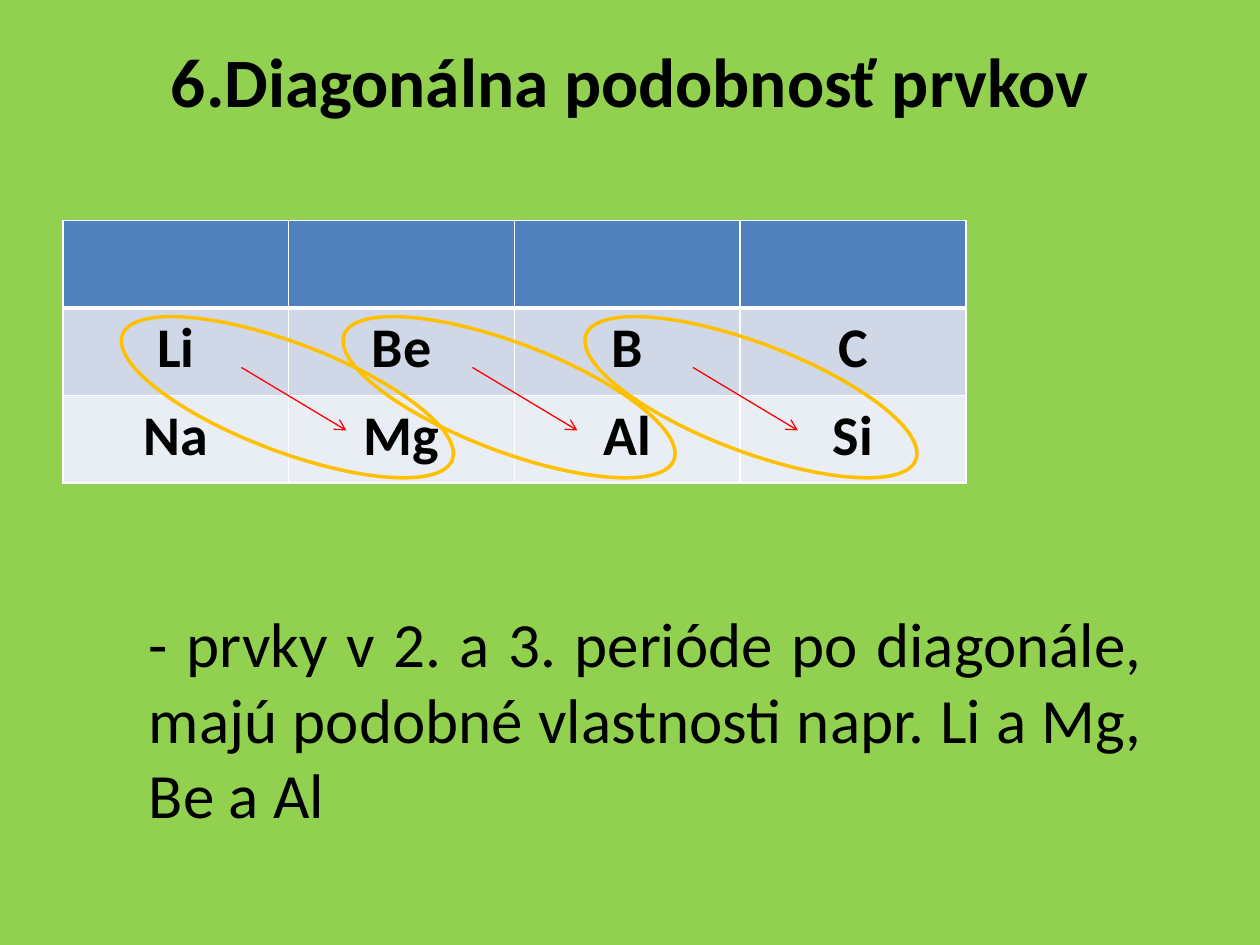
"""Build a slide on the diagonal likeness of elements."""
from dataclasses import dataclass

import lxml.etree
import pptx
import pptx.dml.color
import pptx.enum.shapes
import pptx.enum.text
import pptx.oxml.ns
import pptx.util

Pt = pptx.util.Pt
Align = pptx.enum.text.PP_ALIGN
qn = pptx.oxml.ns.qn


@dataclass(frozen=True)
class Theme:
    font: str = "Calibri"
    back: str = "92D050"
    ink: str = "000000"
    head: str = "4F81BD"
    bands: tuple = ("D0D8E8", "E9EDF4")
    grid: str = "FFFFFF"
    arrow: str = "FF0000"
    ring: str = "FFC000"
    title: float = 39.6
    cell: float = 32
    body: float = 36


@dataclass(frozen=True)
class Box:
    left: float
    top: float
    width: float
    height: float

    def place(self) -> tuple:
        return tuple(Pt(n) for n in (self.left, self.top, self.width, self.height))


@dataclass(frozen=True)
class Label:
    text: str
    box: Box
    size: float
    align: Align
    bold: bool = False
    inset: float = 3.6


@dataclass(frozen=True)
class Pair:
    ring: float
    arrow: float


THEME = Theme()
ROWS = (("", "", "", ""), ("Li", "Be", "B", "C"), ("Na", "Mg", "Al", "Si"))
GRID = Box(36, 126, 516, 150)
PAIRS = (Pair(63.4, 138), Pair(190.1, 270), Pair(328.3, 396))
LABELS = (
    Label("6.Diagonálna podobnosť prvkov", Box(36, 21.6, 648, 90),
          THEME.title, Align.CENTER, True, 0),
    Label("- prvky v 2. a 3. perióde po diagonále, majú podobné vlastnosti "
          "napr. Li a Mg, Be a Al", Box(78, 342, 582, 138),
          THEME.body, Align.JUSTIFY),
)


def color(code: str) -> pptx.dml.color.RGBColor:
    """Turn a hex code into a colour."""
    return pptx.dml.color.RGBColor.from_string(code)


def write(frame, text: str, size: float, align: Align, bold: bool) -> None:
    """Fill a text frame with one styled paragraph."""
    para = frame.paragraphs[0]
    para.text = text
    para.alignment = align
    para.font.name = THEME.font
    para.font.size = Pt(size)
    para.font.bold = bold
    para.font.color.rgb = color(THEME.ink)


def add_label(slide, label: Label) -> None:
    """Add a wrapped text box."""
    frame = slide.shapes.add_textbox(*label.box.place()).text_frame
    frame.word_wrap = True
    frame.margin_top = Pt(label.inset)
    write(frame, label.text, label.size, label.align, label.bold)


def add_edge(cell, index: int, side: str, width: float) -> None:
    """Draw one border of a table cell."""
    line = lxml.etree.Element(qn(f"a:ln{side}"), w=str(Pt(width)))
    fill = lxml.etree.SubElement(line, qn("a:solidFill"))
    lxml.etree.SubElement(fill, qn("a:srgbClr"), val=THEME.grid)
    cell._tc.get_or_add_tcPr().insert(index, line)


def add_grid(slide) -> None:
    """Add the table of elements."""
    table = slide.shapes.add_table(len(ROWS), len(ROWS[0]), *GRID.place()).table
    fills = (THEME.head, *THEME.bands)
    for row, (names, fill) in enumerate(zip(ROWS, fills)):
        edges = {"L": 1, "R": 1, "T": 3 if row == 1 else 1, "B": 3 if row == 0 else 1}
        for col, name in enumerate(names):
            cell = table.cell(row, col)
            cell.fill.solid()
            cell.fill.fore_color.rgb = color(fill)
            for index, (side, width) in enumerate(edges.items()):
                add_edge(cell, index, side, width)
            if name:
                write(cell.text_frame, name, THEME.cell, Align.CENTER, True)


def add_arrow(slide, left: float) -> None:
    """Add an arrow down to the similar element."""
    kind = pptx.enum.shapes.MSO_CONNECTOR.STRAIGHT
    arrow = slide.shapes.add_connector(kind, Pt(left), Pt(210), Pt(left + 60), Pt(246))
    arrow.line.color.rgb = color(THEME.arrow)
    arrow.line.width = Pt(0.75)
    lxml.etree.SubElement(arrow.line._get_or_add_ln(), qn("a:tailEnd"), type="arrow")
    lxml.etree.SubElement(arrow._element.spPr, qn("a:effectLst"))


def add_ring(slide, left: float) -> None:
    """Add a tilted ring around a pair."""
    kind = pptx.enum.shapes.MSO_SHAPE.OVAL
    ring = slide.shapes.add_shape(kind, *Box(left, 196, 201.6, 62).place())
    ring.rotation = 20.8
    ring.shadow.inherit = False
    ring.fill.background()
    ring.line.color.rgb = color(THEME.ring)
    ring.line.width = Pt(2)


def main() -> None:
    """Build and save the slide."""
    deck = pptx.Presentation()
    deck.slide_width, deck.slide_height = Pt(720), Pt(540)
    slide = deck.slides.add_slide(deck.slide_layouts[6])
    slide.background.fill.solid()
    slide.background.fill.fore_color.rgb = color(THEME.back)
    add_grid(slide)
    for pair in PAIRS:
        add_arrow(slide, pair.arrow)
    for pair in PAIRS:
        add_ring(slide, pair.ring)
    for label in LABELS:
        add_label(slide, label)
    deck.save("out.pptx")


if __name__ == "__main__":
    main()
